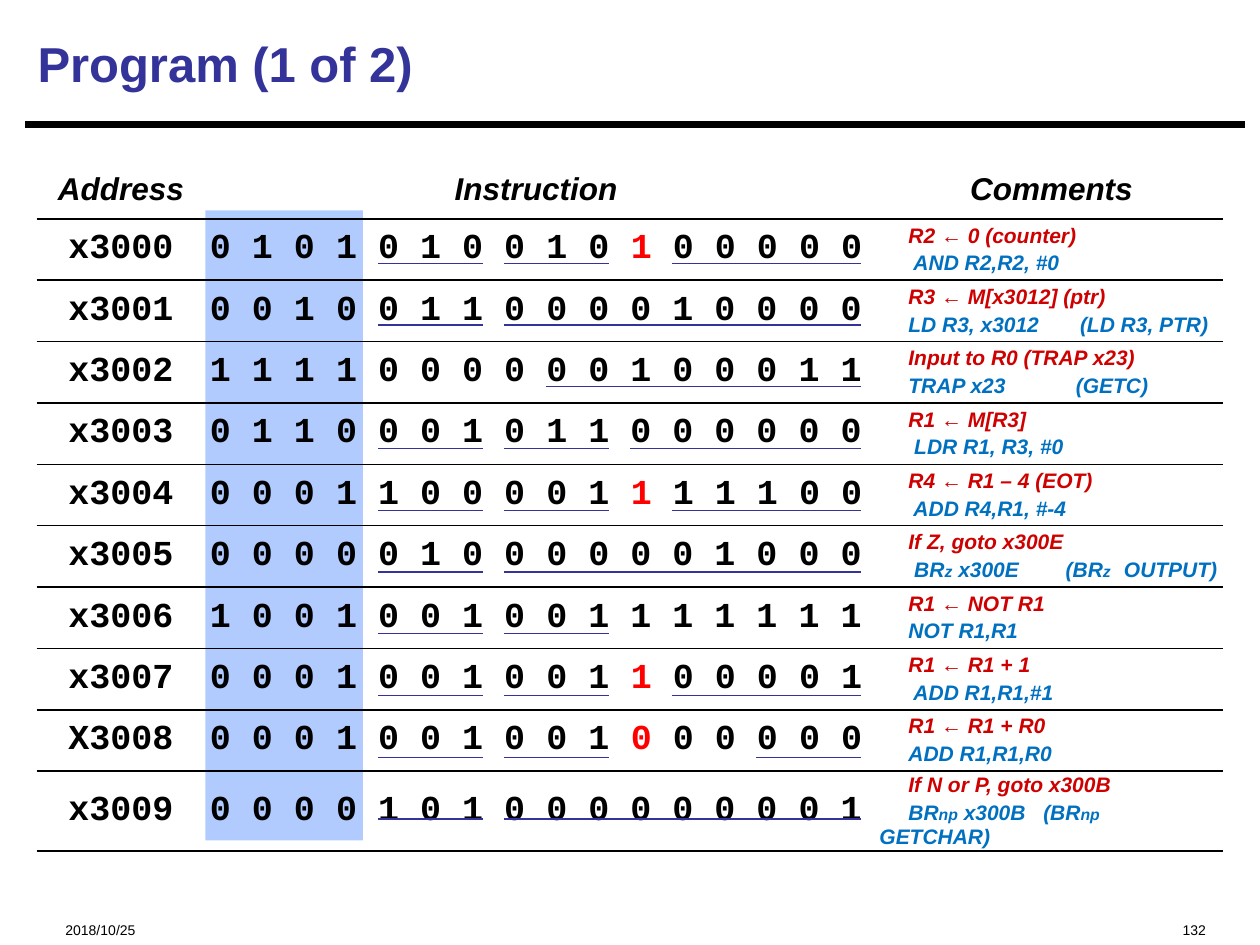
from dataclasses import dataclass

from lxml import etree
from pptx import Presentation
from pptx.dml.color import RGBColor
from pptx.enum.shapes import MSO_CONNECTOR, MSO_SHAPE
from pptx.enum.text import MSO_ANCHOR, PP_ALIGN
from pptx.oxml.ns import qn
from pptx.util import Inches, Pt

LEFT, CENTER, RIGHT = PP_ALIGN.LEFT, PP_ALIGN.CENTER, PP_ALIGN.RIGHT
TOP, MIDDLE = MSO_ANCHOR.TOP, MSO_ANCHOR.MIDDLE
STRAIGHT, RECT = MSO_CONNECTOR.STRAIGHT, MSO_SHAPE.RECTANGLE
NO_STYLE = "{2D5ABB26-0587-4C30-8999-92F81FD0307C}"


@dataclass(frozen=True)
class Theme:
    black: str = "000000"
    navy: str = "333399"
    band: str = "6699FF"
    red: str = "FF0000"
    note: str = "CE0000"
    code: str = "0070C0"
    sans: str = "Arial"
    mono: str = "Courier New"
    title: int = 28
    head: int = 18
    bits: int = 20
    body: int = 12
    sub: int = 9
    foot: int = 8


T = Theme()
TITLE = dict(name=T.sans, size=T.title, bold=True, color=T.navy)
FOOT = dict(name=T.sans, size=T.foot, color=T.black)
HEAD = dict(name=T.sans, size=T.head, bold=True, italic=True, color=T.black)
BITS = dict(name=T.mono, size=T.bits, bold=True, color=T.black)
NOTE = dict(name=T.sans, size=T.body, bold=True, italic=True, color=T.note)
CODE = {**NOTE, "color": T.code}

# Table geometry in inches; each bit takes a sixth of an inch plus a gap
X0, Y0, ROW = 0.29, 1.25, 0.49
COLS = (1.24, 5.35, 2.83)
BIT_X, BIT_STEP, FIELD_Y = 5 / 3, 1 / 3, 2.09
INDENT = 0.23

# Address, bits, comment, assembly (_sub_ is small, | is a wide space),
# widening of the wide spaces in points, underlined bit fields, red mode bit
MODE_BIT = 10
PROGRAM = [
    ("x3000", "0101010010100000", "R2 ← 0 (counter)", " AND R2,R2, #0",
     (), ((4, 6), (7, 9), (11, 15)), True),
    ("x3001", "0010011000010000", "R3 ← M[x3012] (ptr)",
     "LD R3, x3012|(LD R3, PTR)", (20,), ((4, 6), (7, 15)), False),
    ("x3002", "1111000000100011", "Input to R0 (TRAP x23)",
     "TRAP x23|(GETC)", (36.7,), ((8, 15),), False),
    ("x3003", "0110001011000000", "R1 ← M[R3]", " LDR R1, R3, #0",
     (), ((4, 6), (7, 9), (10, 15)), False),
    ("x3004", "0001100001111100", "R4 ← R1 – 4 (EOT)", " ADD R4,R1, #-4",
     (), ((4, 6), (7, 9), (11, 15)), True),
    ("x3005", "0000010000001000", "If Z, goto x300E",
     " BR_z_ x300E|(BR_z|_OUTPUT)", (23.3, 5), ((4, 6), (7, 15)), False),
    ("x3006", "1001001001111111", "R1 ← NOT R1", "NOT R1,R1",
     (), ((4, 6), (7, 9)), False),
    ("x3007", "0001001001100001", "R1 ← R1 + 1", " ADD R1,R1,#1",
     (), ((4, 6), (7, 9), (11, 15)), True),
    ("X3008", "0001001001000000", "R1 ← R1 + R0", "ADD R1,R1,R0",
     (), ((4, 6), (7, 9), (13, 15)), True),
    ("x3009", "0000101000000001", "If N or P, goto x300B",
     "BR_np_ x300B|(BR_np_\nGETCHAR)", (6.7,), ((4, 6), (7, 15)), False),
]


def rgb(value):
    return RGBColor.from_string(value)


class Deck:
    """Holds the presentation and the slide being drawn."""

    def __init__(self, width, height):
        self.prs = Presentation()
        self.prs.slide_width, self.prs.slide_height = Inches(width), Inches(height)
        self.s = self.prs.slides.add_slide(self.prs.slide_layouts[6])

    def run(self, p, text, fmt):
        r = p.add_run()
        r.text = text
        for key, value in fmt.items():
            if key == "color":
                r.font.color.rgb = rgb(value)
            else:
                setattr(r.font, key, Pt(value) if key == "size" else value)
        return r

    def text(self, box, text, fmt, align=LEFT, anchor=MIDDLE, top=0.05, bottom=0.05):
        sp = self.s.shapes.add_textbox(*map(Inches, box))
        tf = sp.text_frame
        settings = dict(word_wrap=True, vertical_anchor=anchor, margin_top=Inches(top),
                        margin_bottom=Inches(bottom))
        for key, value in settings.items():
            setattr(tf, key, value)
        p = tf.paragraphs[0]
        p.alignment = align
        self.run(p, text, fmt)

    def line(self, x1, x2, y, color, width):
        ln = self.s.shapes.add_connector(STRAIGHT, *map(Inches, (x1, y, x2, y)))
        ln.line.color.rgb, ln.line.width = rgb(color), Pt(width)
        etree.SubElement(ln._element.spPr, qn("a:effectLst"))

    def rect(self, box, color, alpha):
        sp = self.s.shapes.add_shape(RECT, *map(Inches, box))
        sp.shadow.inherit = False
        sp.fill.solid()
        sp.fill.fore_color.rgb = rgb(color)
        sp.line.fill.background()
        clr = sp._element.spPr.find(qn("a:solidFill"))[0]
        etree.SubElement(clr, qn("a:alpha"), val=str(alpha * 1000))

    def table(self, rows):
        tbl = self.s.shapes.add_table(rows, len(COLS), Inches(X0), Inches(Y0),
                                      Inches(sum(COLS)), Inches(5.36)).table
        tbl.first_row = tbl.horz_banding = False
        tbl._tbl.tblPr.find(qn("a:tableStyleId")).text = NO_STYLE
        for col, width in zip(tbl.columns, COLS):
            col.width = Inches(width)
        return tbl

    def cell(self, cell, top=0, bottom=0):
        """Clear the fill, rule the bottom edge and return the first paragraph."""
        settings = dict(vertical_anchor=MIDDLE, margin_left=Inches(0.1), margin_right=0,
                        margin_top=Inches(top), margin_bottom=Inches(bottom))
        for key, value in settings.items():
            setattr(cell, key, value)
        cell.fill.background()
        ln = etree.Element(qn("a:lnB"), w=str(Pt(1)))
        fill = etree.SubElement(ln, qn("a:solidFill"))
        etree.SubElement(fill, qn("a:srgbClr"), val=T.black)
        cell._tc.tcPr.insert(0, ln)
        p = cell.text_frame.paragraphs[0]
        p.alignment = CENTER
        return p

    def comment(self, p, text, fmt, gaps=(), before=0):
        p.alignment, p.space_before = LEFT, Pt(before)
        pPr = p._p.get_or_add_pPr()
        pPr.set("marL", "0")
        pPr.set("indent", str(Inches(INDENT)))
        widths = iter(gaps)
        for i, part in enumerate(text.split("_")):
            style = {**fmt, "size": T.sub} if i % 2 else fmt
            if part.startswith("\n"):
                p.add_line_break()
            for j, piece in enumerate(part.lstrip("\n").split("|")):
                if j:
                    space = self.run(p, " ", style)
                    space.font._element.set("spc", str(round(next(widths) * 100)))
                if piece:
                    self.run(p, piece, style)


def main():
    d = Deck(10, 7.5)

    # Title, rule and footer
    d.line(0.2, 9.88, 0.99, T.black, 3.75)
    d.text((0.42, 7.15, 2.5, 0.27), "2018/10/25", FOOT, anchor=TOP, top=0.2, bottom=0)
    d.text((6.67, 7.15, 3, 0.27), "132", FOOT, RIGHT, TOP, 0.2, 0)
    d.rect((1.63, 1.67, 1.25, 5), T.band, 50)
    d.text((0.2, 0.08, 9.67, 0.84), "Program (1 of 2)", TITLE)

    # Table of instructions
    tbl = d.table(len(PROGRAM) + 1)
    for c, label in enumerate(("Address", "Instruction", "Comments")):
        d.run(d.cell(tbl.cell(0, c), 0.1, 0.08), label, HEAD)
    for n, (addr, bits, note, code, gaps, fields, red) in enumerate(PROGRAM):
        p_addr, p_bits, p_note = (d.cell(tbl.cell(n + 1, c)) for c in range(3))
        d.run(p_addr, addr, BITS)
        if red:
            d.run(p_bits, " ".join(bits[:MODE_BIT]) + " ", BITS)
            d.run(p_bits, bits[MODE_BIT], {**BITS, "color": T.red})
            d.run(p_bits, " " + " ".join(bits[MODE_BIT + 1:]), BITS)
        else:
            d.run(p_bits, " ".join(bits), BITS)
        d.comment(p_note, note, NOTE)
        d.comment(tbl.cell(n + 1, 2).text_frame.add_paragraph(), code, CODE, gaps, 2.4)

        # Underlines of the bit fields
        for first, last in fields:
            d.line(BIT_X + first * BIT_STEP, BIT_X + (last + 0.5) * BIT_STEP,
                   FIELD_Y + n * ROW, T.navy, 0.75)

    d.prs.save("out.pptx")


if __name__ == "__main__":
    main()
